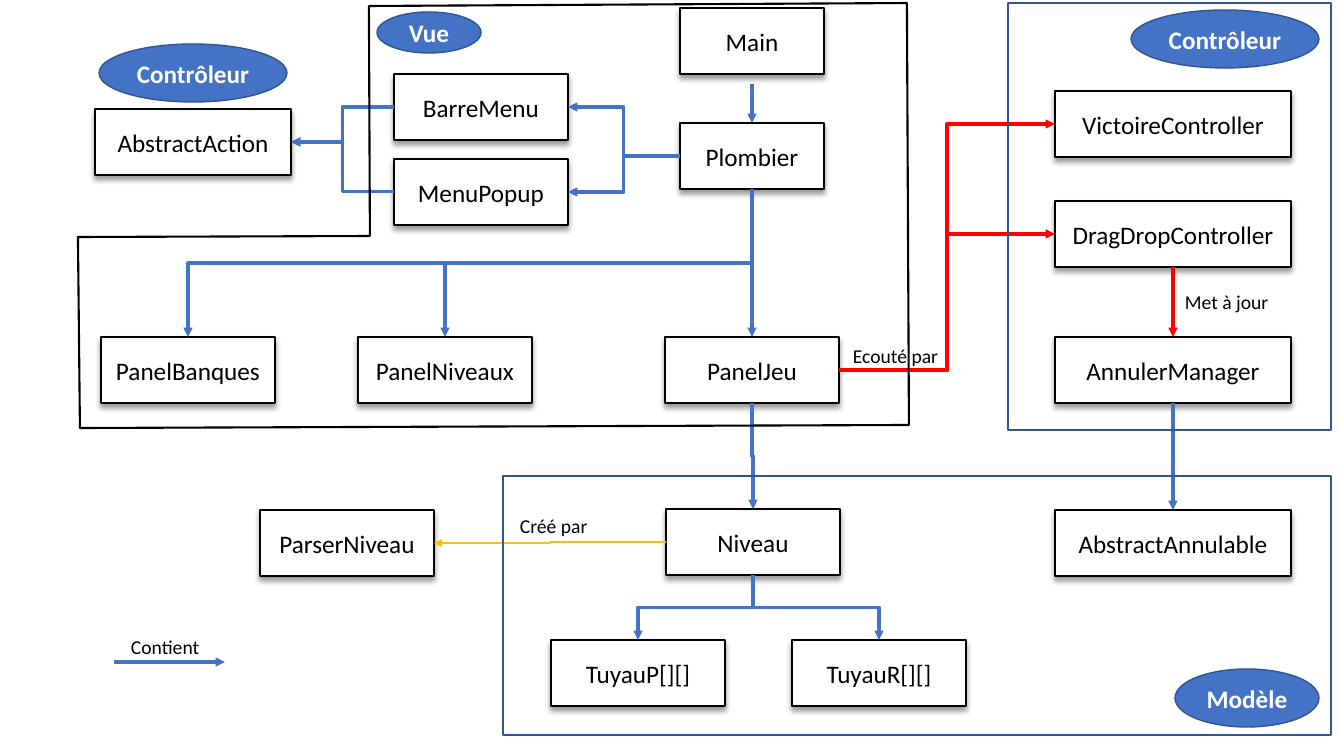
from lxml.etree import SubElement
from pptx import Presentation
from pptx.dml.color import RGBColor
from pptx.enum.shapes import MSO_CONNECTOR as Route, MSO_SHAPE as Preset
from pptx.enum.text import MSO_ANCHOR as Anchor, MSO_AUTO_SIZE as AutoSize, PP_ALIGN as Align
from pptx.oxml.ns import qn
from pptx.util import Emu, Pt

PX = 914400 / 100.8
BLACK = RGBColor(0, 0, 0)
WHITE = RGBColor(255, 255, 255)
BLUE = RGBColor(0x44, 0x72, 0xC4)
DARK_BLUE = RGBColor(0x32, 0x54, 0x91)
RED = RGBColor(255, 0, 0)
AMBER = RGBColor(0xFF, 0xC0, 0)

BOX_HEIGHT = 66
CLASSES = {  # name: (left, top, width)
    "Main": (680, 8, 144),
    "Plombier": (680, 123, 144),
    "BarreMenu": (394, 74, 174),
    "MenuPopup": (394, 159, 174),
    "AbstractAction": (95, 109, 196),
    "PanelBanques": (101, 337, 174),
    "PanelNiveaux": (358, 337, 174),
    "PanelJeu": (665, 337, 174),
    "Niveau": (666, 509, 174),
    "ParserNiveau": (260, 510, 174),
    "TuyauP[][]": (551, 640, 174),
    "TuyauR[][]": (792, 640, 174),
    "VictoireController": (1055, 91, 236),
    "DragDropController": (1055, 201, 236),
    "AnnulerManager": (1055, 337, 236),
    "AbstractAnnulable": (1055, 510, 236),
}
TOP, LEFT, BOTTOM, RIGHT = range(4)  # connection sites of a rectangle
DOWN, LEFTWARD, RIGHTWARD = (BOTTOM, TOP), (LEFT, RIGHT), (RIGHT, LEFT)
LINKS = [  # source, targets, direction, colour, weight
    ("Plombier", ["PanelBanques", "PanelNiveaux", "PanelJeu"], DOWN, BLUE, 2.25),
    ("Plombier", ["BarreMenu", "MenuPopup"], LEFTWARD, BLUE, 2.25),
    ("BarreMenu", ["AbstractAction"], LEFTWARD, BLUE, 2.25),
    ("MenuPopup", ["AbstractAction"], LEFTWARD, BLUE, 2.25),
    ("PanelJeu", ["Niveau"], DOWN, BLUE, 2.25),
    ("PanelJeu", ["VictoireController", "DragDropController"], RIGHTWARD, RED, 2.25),
    ("Niveau", ["ParserNiveau"], LEFTWARD, AMBER, 1),
    ("Niveau", ["TuyauP[][]", "TuyauR[][]"], DOWN, BLUE, 2.25),
    ("DragDropController", ["AnnulerManager"], DOWN, RED, 2.25),
    ("AnnulerManager", ["AbstractAnnulable"], DOWN, BLUE, 2.25),
]
LOOSE_ARROWS = [((752, 84), (752, 123)), ((114, 662), (225, 662))]
CAPTIONS = [
    ("Créé par", (510, 509, 91, 34)),
    ("Ecouté par", (843, 339, 107, 34)),
    ("Contient", (121, 630, 107, 34)),
    ("Met à jour", (1175, 285, 107, 34)),
]
VIEW_OUTLINE = [(369, 6), (370, 236), (78, 237), (80, 428), (909, 425), (907, 3)]
FRAMES = [(1008, 3, 323, 427), (503, 476, 828, 259)]
GROUP_LABELS = [
    ("Vue", (377, 12, 104, 41)),
    ("Modèle", (1175, 669, 144, 58)),
    ("Contrôleur", (1131, 10, 188, 58)),
    ("Contrôleur", (99, 44, 188, 58)),
]


def emu(*lengths):
    return [Emu(round(length * PX)) for length in lengths]


def write(shape, text, **font_values):
    para = shape.text_frame.paragraphs[0]
    span = para.add_run()
    span.text = text
    color = font_values.pop("color", BLACK)
    for name, value in {"name": "Calibri", "size": Pt(18), **font_values}.items():
        setattr(span.font, name, value)
    span.font.color.rgb = color
    return para


def outline(shape, color, weight):
    shape.line.color.rgb = color
    shape.line.width = Pt(weight)


def add_figure(preset, area, fill, line_color, weight):
    shape = slide.shapes.add_shape(preset, *emu(*area))
    shape.shadow.inherit = False
    if fill is None:
        shape.fill.background()
    else:
        shape.fill.solid()
        shape.fill.fore_color.rgb = fill
    outline(shape, line_color, weight)
    return shape


def add_labelled(preset, text, area, fill, line_color, **font_values):
    shape = add_figure(preset, area, fill, line_color, 1)
    shape.text_frame.word_wrap = True
    shape.text_frame.vertical_anchor = Anchor.MIDDLE
    write(shape, text, **font_values).alignment = Align.CENTER
    return shape


def cast_shadow(shape):
    effects = shape.element.spPr.find(qn("a:effectLst"))
    shadow = SubElement(effects, qn("a:outerShdw"), blurRad=str(Pt(4)), dist=str(Pt(3)),
                        dir="5400000", algn="t", rotWithShape="0")
    tint = SubElement(shadow, qn("a:srgbClr"), val=str(BLACK))
    SubElement(tint, qn("a:alpha"), val="40000")


def add_arrow(route, start, end, color, weight):
    arrow = slide.shapes.add_connector(route, *emu(*start, *end))
    outline(arrow, color, weight)
    properties = arrow.element.spPr
    SubElement(properties.find(qn("a:ln")), qn("a:tailEnd"), type="triangle")
    SubElement(properties, qn("a:effectLst"))
    return arrow


def site_point(name, site):
    left, top, width = CLASSES[name]
    return {
        TOP: (left + width / 2, top),
        LEFT: (left, top + BOX_HEIGHT / 2),
        BOTTOM: (left + width / 2, top + BOX_HEIGHT),
        RIGHT: (left + width, top + BOX_HEIGHT / 2),
    }[site]


def link(source, target, direction, color, weight):
    """Glue an arrow to two boxes; a bent one going down is a quarter-turned elbow."""
    start_site, end_site = direction
    (x1, y1), (x2, y2) = site_point(source, start_site), site_point(target, end_site)
    straight = x1 == x2 or y1 == y2
    arrow = add_arrow(Route.STRAIGHT if straight else Route.ELBOW,
                      (x1, y1), (x2, y2), color, weight)
    arrow.begin_connect(boxes[source], start_site)
    arrow.end_connect(boxes[target], end_site)
    if direction == DOWN and not straight:
        middle_x, middle_y = (x1 + x2) / 2, (y1 + y2) / 2
        half_x, half_y = (x2 - x1) / 2, (y2 - y1) / 2
        ends = emu(middle_x - half_y, middle_y + half_x, middle_x + half_y, middle_y - half_x)
        for name, value in zip(("begin_x", "begin_y", "end_x", "end_y"), ends):
            setattr(arrow, name, value)
        arrow.element.spPr.find(qn("a:xfrm")).set("rot", "5400000")


deck = Presentation()
deck.slide_width, deck.slide_height = emu(1344, 756)
slide = deck.slides.add_slide(deck.slide_layouts[6])

boxes = {}
for name, (left, top, width) in CLASSES.items():
    boxes[name] = add_labelled(Preset.RECTANGLE, name, (left, top, width, BOX_HEIGHT),
                               WHITE, BLACK)
    cast_shadow(boxes[name])

for source, targets, direction, color, weight in LINKS:
    for target in targets:
        link(source, target, direction, color, weight)
for start, end in LOOSE_ARROWS:
    add_arrow(Route.STRAIGHT, start, end, BLUE, 2.25)

for text, area in CAPTIONS:
    caption = slide.shapes.add_textbox(*emu(*area))
    caption.text_frame.word_wrap = True
    caption.text_frame.auto_size = AutoSize.SHAPE_TO_FIT_TEXT
    write(caption, text, size=Pt(14))

builder = slide.shapes.build_freeform(*VIEW_OUTLINE[0], scale=PX)
builder.add_line_segments(VIEW_OUTLINE[1:], close=True)
view = builder.convert_to_shape()
view.shadow.inherit = False
view.fill.background()
outline(view, BLACK, 1.5)

for area in FRAMES:
    add_figure(Preset.RECTANGLE, area, None, DARK_BLUE, 1.5)
for text, area in GROUP_LABELS:
    add_labelled(Preset.OVAL, text, area, BLUE, DARK_BLUE, color=WHITE, bold=True)

deck.save("out.pptx")
